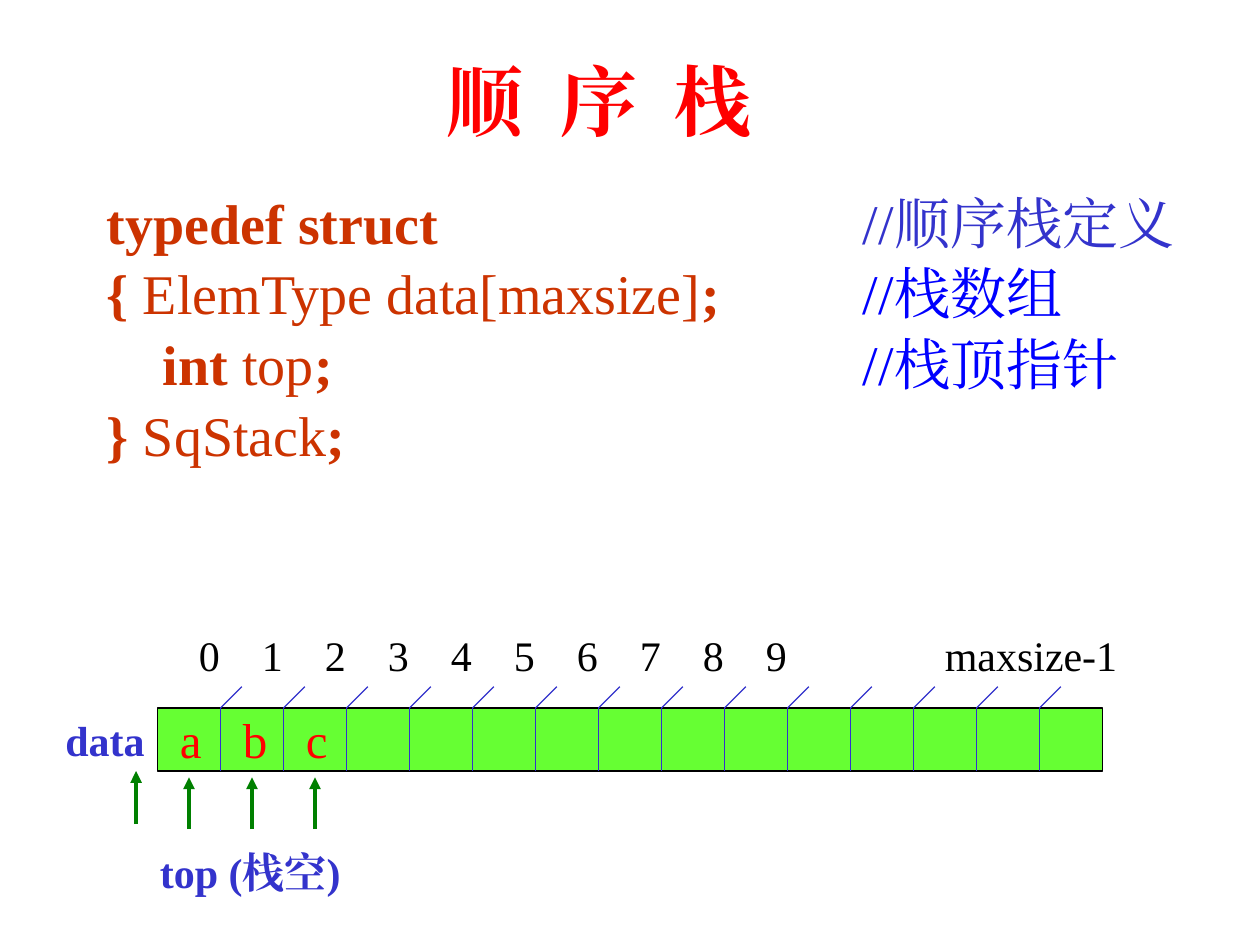
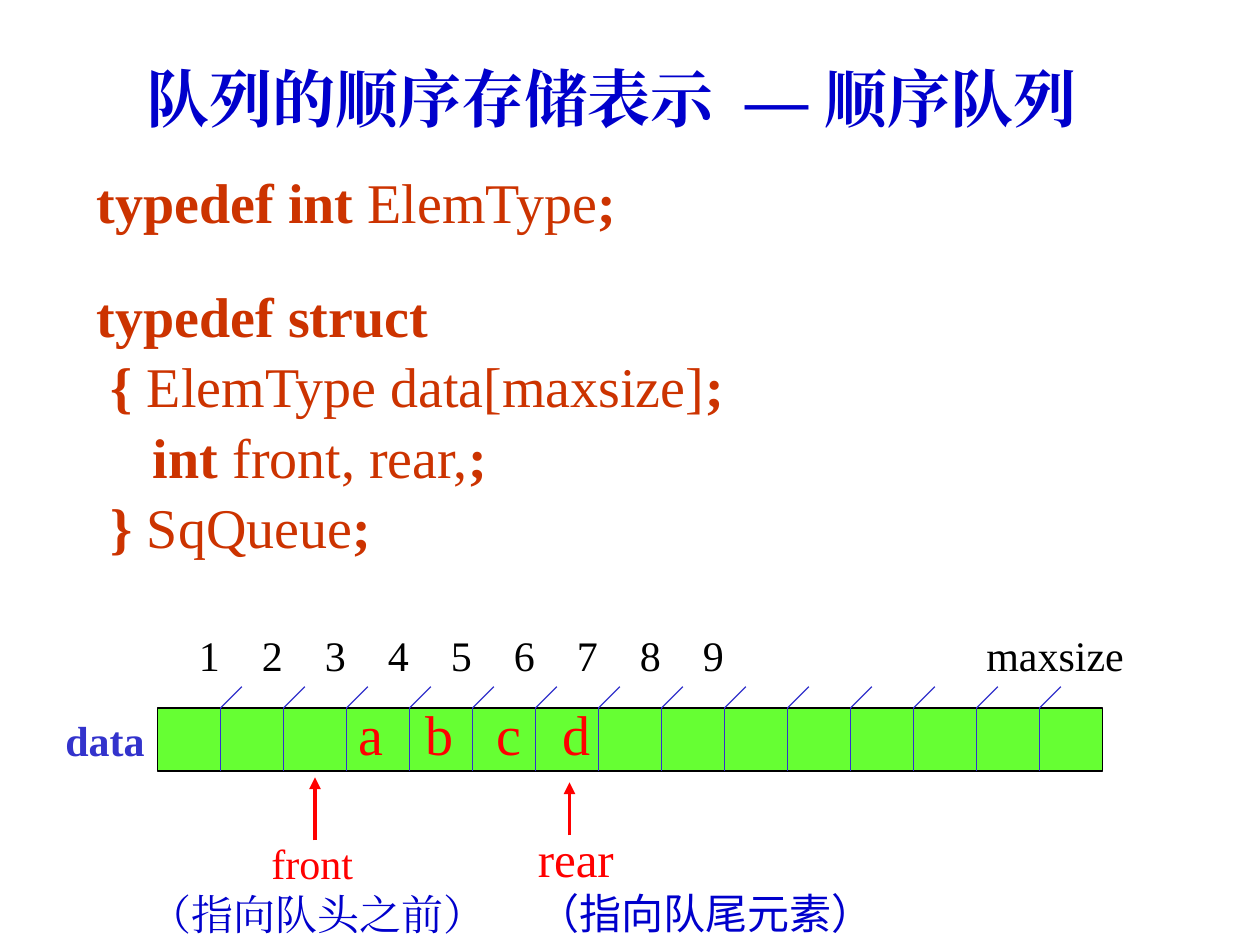
from lxml import etree
from pptx import Presentation
from pptx.dml.color import RGBColor
from pptx.enum.shapes import MSO_CONNECTOR, MSO_SHAPE
from pptx.enum.text import MSO_ANCHOR, MSO_AUTO_SIZE, PP_ALIGN
from pptx.oxml.ns import qn
from pptx.util import Inches, Pt

STRAIGHT = MSO_CONNECTOR.STRAIGHT
RECT = MSO_SHAPE.RECTANGLE
MIDDLE = MSO_ANCHOR.MIDDLE
FIXED = MSO_AUTO_SIZE.NONE
LEFT, CENTER = PP_ALIGN.LEFT, PP_ALIGN.CENTER

RED = RGBColor(0xFF, 0x00, 0x00)
RUST = RGBColor(0xCC, 0x33, 0x00)
INDIGO = RGBColor(0x33, 0x33, 0xCC)
BLUE = RGBColor(0x00, 0x00, 0xFF)
NAVY = RGBColor(0x00, 0x00, 0xCC)
GREEN = RGBColor(0x00, 0x80, 0x00)
LIME = RGBColor(0x66, 0xFF, 0x33)
BLACK = RGBColor(0x00, 0x00, 0x00)
SERIF, SANS = "Times New Roman", "Noto Sans CJK SC"

# Array bar geometry
BAR_X, BAR_Y, CELL, COUNT, SLANT = 1.25, 5.62, 0.5, 15, 0.17


def write(slide, box, lines, size, align=LEFT, tabs=(), wrap=False, space=None, title=False):
    """Fill a text box or the title; each line is a list of (text, colour, bold)."""
    place = [Inches(v) for v in box]
    if title:
        shape = slide.shapes.title
        shape.left, shape.top, shape.width, shape.height = place
        shape.text_frame.vertical_anchor = MIDDLE
    else:
        shape = slide.shapes.add_textbox(*place)
    frame = shape.text_frame
    frame.auto_size = FIXED
    frame.word_wrap = wrap
    for i, line in enumerate(lines):
        para = frame.paragraphs[0] if i == 0 else frame.add_paragraph()
        para.alignment = align
        if tabs:
            stops = etree.SubElement(para._p.get_or_add_pPr(), qn("a:tabLst"))
            for stop in tabs:
                etree.SubElement(stops, qn("a:tab"), pos=str(Inches(stop)), algn="l")
        if space:
            para.line_spacing = space
        for text, color, bold in line:
            run = para.add_run()
            run.text = text
            font = run.font
            font.name, font.size, font.bold = SERIF, Pt(size), bold
            font.color.rgb = color
            etree.SubElement(run._r.rPr, qn("a:ea"), typeface=SERIF)
    return frame


def draw(slide, start, end, color, width=0.75, arrow=False):
    ends = [Inches(v) for v in (*start, *end)]
    line = slide.shapes.add_connector(STRAIGHT, *ends)
    line.line.color.rgb = color
    line.line.width = Pt(width)
    if arrow:
        etree.SubElement(line.line._get_or_add_ln(), qn("a:tailEnd"), type="triangle")
    etree.SubElement(line._element.spPr, qn("a:effectLst"))


prs = Presentation()
prs.slide_width, prs.slide_height = Inches(10), Inches(7.5)
stack, queue = [prs.slides.add_slide(prs.slide_layouts[5]) for _ in range(2)]

# Array bar with index labels, shared by both slides
digits = "0123456789"
for slide, marks, last, stop in (
    (stack, digits, "maxsize-1", 5.92),
    (queue, digits[1:], "maxsize", 6.25),
):
    bar = slide.shapes.add_shape(
        RECT, Inches(BAR_X), Inches(BAR_Y), Inches(CELL * COUNT), Inches(CELL))
    bar.shadow.inherit = False
    bar.fill.solid()
    bar.fill.fore_color.rgb = LIME
    bar.line.color.rgb = BLACK
    bar.line.width = Pt(0.75)
    for i in range(1, COUNT):
        x = BAR_X + i * CELL
        draw(slide, (x, BAR_Y), (x, BAR_Y + CELL), INDIGO)
        draw(slide, (x, BAR_Y), (x + SLANT, BAR_Y - SLANT), INDIGO)
    stops = [i * CELL for i in range(1, len(marks))] + [stop]
    write(slide, (1.48, 4.95, 7.8, 0.5), [[("\t".join([*marks, last]), BLACK, False)]],
          24, tabs=stops, wrap=True)
    write(slide, (0.42, BAR_Y, 0.83, 0.5), [[("data", INDIGO, True)]], 24)

# Stack: title and type definition
head = write(stack, (1.42, 0.42, 6.67, 0.75), [[("顺 序 栈", RED, True)]],
             44, CENTER, wrap=True, title=True)
head.paragraphs[0].runs[0]._r.rPr.set("spc", "500")
write(stack, (0.75, 1.42, 8.83, 2.34), [
    [("typedef struct\t", RUST, True), ("//顺序栈定义", INDIGO, False)],
    [("{ ", RUST, True), ("ElemType data[maxsize]", RUST, False),
     (";\t", RUST, True), ("//栈数组", BLUE, False)],
    [("    int ", RUST, True), ("top", RUST, False),
     (";\t", RUST, True), ("//栈顶指针", BLUE, False)],
    [("} ", RUST, True), ("SqStack", RUST, False), (";", RUST, True)],
], 32, tabs=[6], wrap=True, space=1.05)

# Stack: elements and top pointers
draw(stack, (1.08, 6.54), (1.08, 6.12), GREEN, 2.25, True)
for i, name in enumerate("abc"):
    x = 1.5 + i * CELL
    draw(stack, (x, 6.58), (x, 6.17), GREEN, 2.25, True)
    write(stack, (x - 0.17, 5.58, 0.38, 0.57), [[(name, RED, False)]], 28)
write(stack, (1.17, 6.67, 1.79, 0.5), [[("top (栈空)", INDIGO, True)]], 24)

# Queue: title and type definition
head = write(queue, (0.75, 0.42, 8.33, 0.67), [
    [("队列的顺序存储表示", NAVY, True), (" ", NAVY, True), ("— 顺序队列 ", NAVY, True)],
], 36, CENTER, wrap=True, space=1.05, title=True)
head.paragraphs[0].runs[1]._r.rPr.set("spc", "900")
code = write(queue, (0.67, 1.25, 8.92, 3.81), [
    [("typedef int ", RUST, True), ("ElemType", RUST, False), (";", RUST, True)],
    [("typedef struct", RUST, True)],
    [(" { ", RUST, True), ("ElemType data[maxsize]", RUST, False), (";", RUST, True)],
    [("    int ", RUST, True), ("front, rear,", RUST, False), (";", RUST, True)],
    [(" } ", RUST, True), ("SqQueue", RUST, False), (";", RUST, True)],
], 32, wrap=True, space=1.05)
code.paragraphs[1].space_before = Pt(25)

# Queue: elements with front and rear pointers
write(queue, (2.75, 5.5, 2.04, 0.64), [[("a\tb\tc\td", RED, False)]],
      32, tabs=[0.53, 1.09, 1.62], wrap=True)
draw(queue, (2.5, 6.67), (2.5, 6.17), RED, 2.25, True)
write(queue, (1.09, 6.6, 2.86, 0.9),
      [[("front ", RED, False)], [("（指向队头之前）", NAVY, False)]], 24, CENTER)
draw(queue, (4.52, 6.63), (4.52, 6.21), RED, 2.25, True)
rear = write(queue, (4.17, 6.53, 2.86, 0.97),
             [[("rear", RED, False)], [("（指向队尾元素）", NAVY, False)]], 28)
note = rear.paragraphs[1].runs[0]
note.font.size = Pt(24)
note.font.name = SANS
note._r.rPr.find(qn("a:ea")).set("typeface", SANS)

prs.save("out.pptx")
